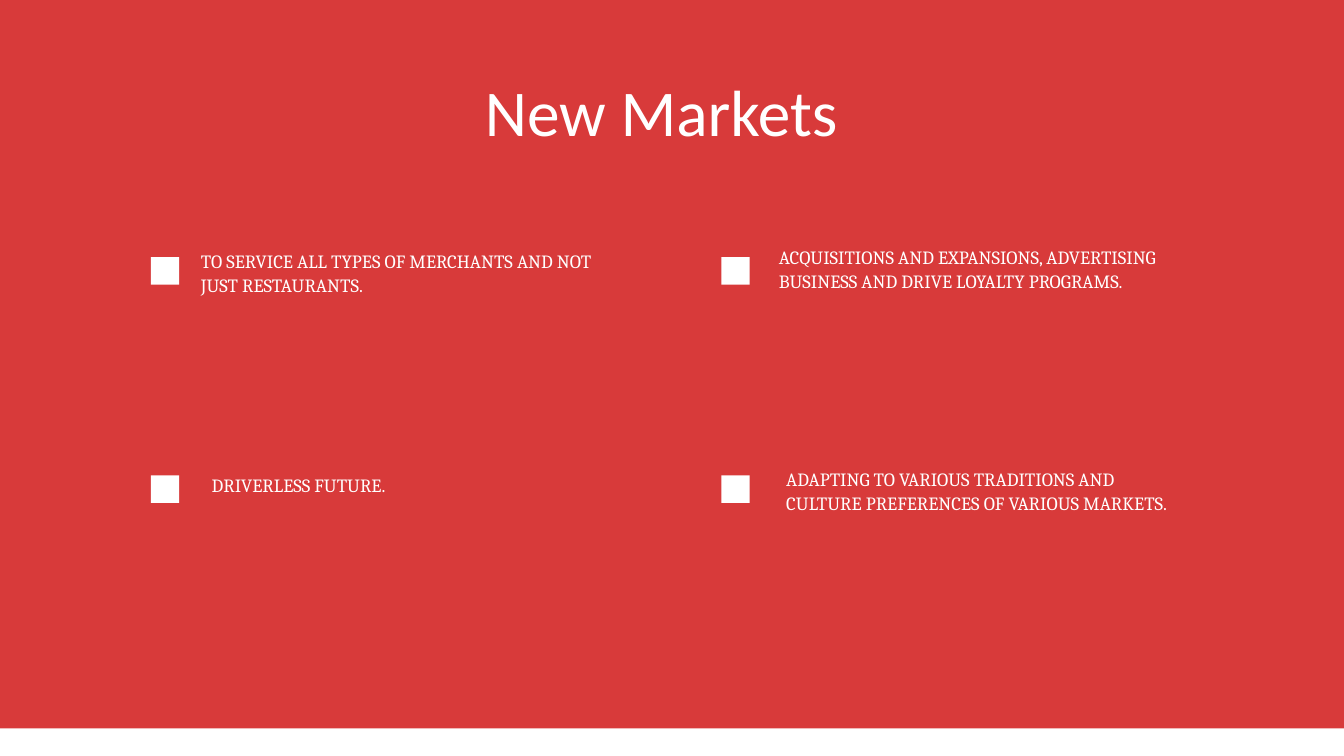
from dataclasses import dataclass

from pptx import Presentation
from pptx import util as u
from pptx.dml.color import RGBColor
from pptx.enum import shapes, text

COLORS = {"background": "D83A3A", "foreground": "FFFFFF"}

# Grid of one-inch columns and rows
COLS, ROWS = 20, 11.25
MARKER_COLS = (2.25, 10.74)
MARKER_ROWS = (3.82, 7.07)
MARKER_W, MARKER_H = 0.41, 0.42
TEXT_W = 6.04
STRIP_H = 0.41


@dataclass
class Market:
    col: int
    row: int
    x: float
    y: float
    height: float
    label: str


MARKETS = [
    Market(0, 0, 2.99, 3.69, 1.05,
           "TO SERVICE ALL TYPES OF MERCHANTS AND NOT JUST RESTAURANTS."),
    Market(0, 1, 3.15, 7.03, 0.34, "DRIVERLESS FUTURE."),
    Market(1, 0, 11.59, 3.63, 1.52,
           "ACQUISITIONS AND EXPANSIONS, ADVERTISING BUSINESS AND DRIVE LOYALTY PROGRAMS."),
    Market(1, 1, 11.7, 6.93, 1.05,
           "ADAPTING TO VARIOUS TRADITIONS AND CULTURE PREFERENCES OF VARIOUS MARKETS."),
]


def color(name: str) -> RGBColor:
    return RGBColor.from_string(COLORS[name])


def add_text(s, x: float, y: float, w: float, h: float, words: str,
             font: str, size: float, leading: float,
             align=text.PP_ALIGN.LEFT) -> None:
    tf = s.shapes.add_textbox(u.Inches(x), u.Inches(y), u.Inches(w), u.Inches(h)).text_frame
    tf.margin_left = tf.margin_top = tf.margin_right = tf.margin_bottom = 0
    tf.word_wrap = True
    tf.auto_size = text.MSO_AUTO_SIZE.SHAPE_TO_FIT_TEXT
    tf.text = words
    p = tf.paragraphs[0]
    p.alignment = align
    p.line_spacing = u.Pt(leading)
    r = p.runs[0]
    r.font.name = font
    r.font.size = u.Pt(size)
    r.font.color.rgb = color("foreground")


def add_block(s, x: float, y: float, w: float, h: float, rotation: float = 0) -> None:
    sp = s.shapes.add_shape(shapes.MSO_SHAPE.RECTANGLE,
                            u.Inches(x), u.Inches(y), u.Inches(w), u.Inches(h))
    sp.shadow.inherit = False
    sp.fill.solid()
    sp.fill.fore_color.rgb = color("foreground")
    sp.line.fill.background()
    sp.rotation = rotation


def main() -> None:
    prs = Presentation()
    prs.slide_width, prs.slide_height = u.Inches(COLS), u.Inches(ROWS)
    s = prs.slides.add_slide(prs.slide_layouts[6])
    s.background.fill.solid()
    s.background.fill.fore_color.rgb = color("background")

    # Title
    add_text(s, 3.77, 1.26, 12.14, 1.03, "New Markets", "Calibri", 70, 70,
             text.PP_ALIGN.CENTER)

    # Market texts
    for m in MARKETS:
        add_text(s, m.x, m.y, TEXT_W, m.height, m.label, "Cambria", 20, 25.8)

    # Square markers
    for m in MARKETS:
        add_block(s, MARKER_COLS[m.col], MARKER_ROWS[m.row], MARKER_W, MARKER_H, 270)

    # Bottom strip
    add_block(s, 0, ROWS - STRIP_H, COLS, STRIP_H)

    prs.save("out.pptx")


if __name__ == "__main__":
    main()
